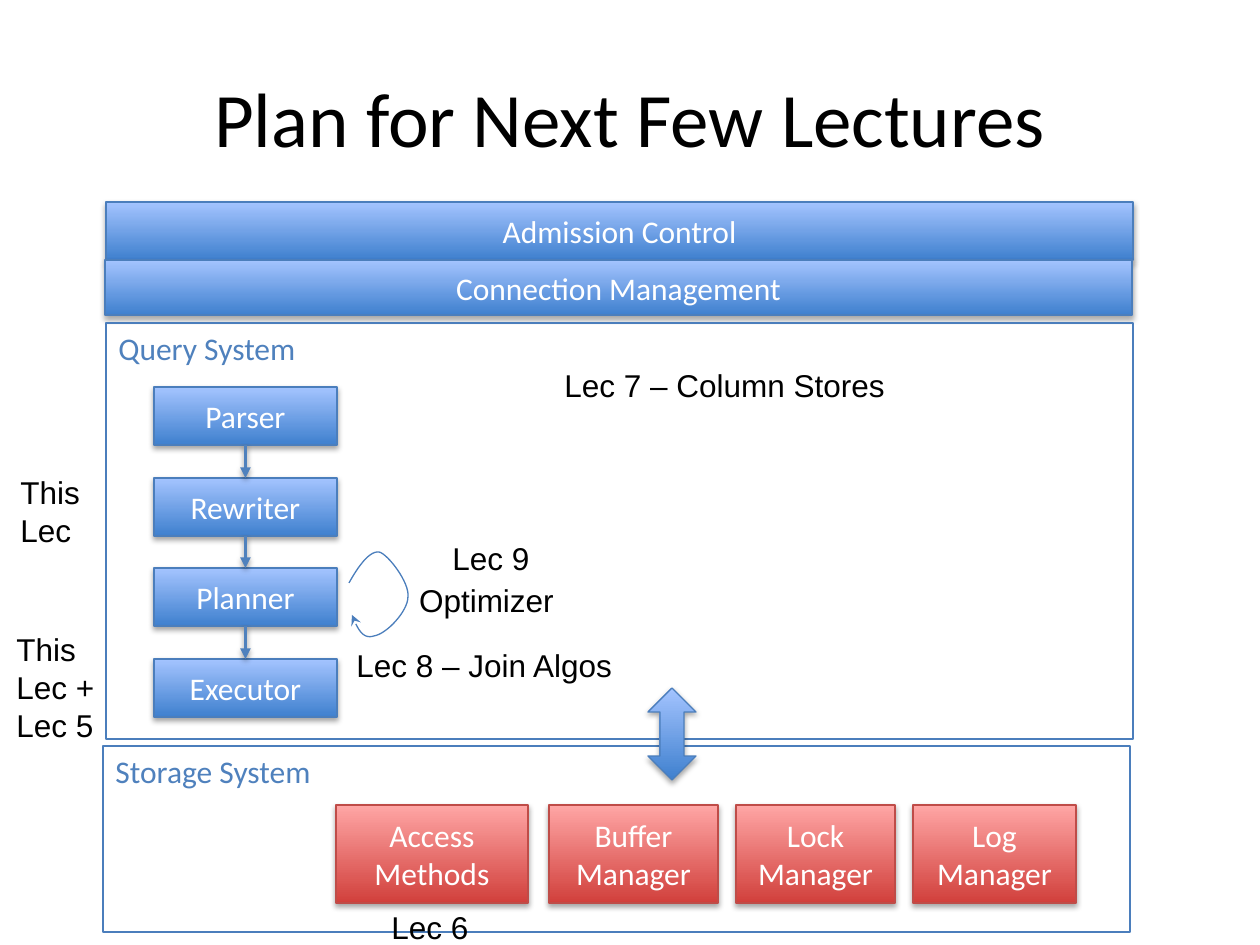
import itertools
from typing import NamedTuple

import pptx
import pptx.dml.color
import pptx.enum.shapes
import pptx.enum.text
import pptx.oxml.ns
import pptx.util
from lxml import etree

SCALE = 914400 / 126  # EMU in one px
COLORS = {
    "black": "000000", "white": "FFFFFF", "label": "4F81BD",
    "blue_edge": "4B7EBC", "blue_low": "3F80CE", "blue_top": "A4C4FF",
    "red_edge": "BF4C48", "red_low": "D1403C", "red_top": "FFA6A5",
}
SHAPE = pptx.enum.shapes.MSO_SHAPE
ALIGN = pptx.enum.text.PP_ALIGN
ANCHOR = pptx.enum.text.MSO_ANCHOR
qn = pptx.oxml.ns.qn


class Box(NamedTuple):
    text: str
    left: int
    top: int
    width: int
    height: int
    hue: str = "blue"
    kind: SHAPE = SHAPE.RECTANGLE


class Note(NamedTuple):
    text: str
    left: int
    top: int
    width: int
    height: int = 50
    wrap: bool = True
    align: ALIGN = ALIGN.LEFT


def px(n: float) -> pptx.util.Emu:
    return pptx.util.Emu(round(n * SCALE))


def rgb(name: str) -> pptx.dml.color.RGBColor:
    return pptx.dml.color.RGBColor.from_string(COLORS[name])


def style(par, face: str, color: str, align: ALIGN, size: int = 18) -> None:
    par.alignment = align
    par.font.name = face
    par.font.size = pptx.util.Pt(size)
    par.font.color.rgb = rgb(color)


def stroke(shape, color: str, width: float = 0.75, tip: str = "") -> None:
    shape.line.color.rgb = rgb(color)
    shape.line.width = pptx.util.Pt(width)
    if tip:
        line = shape.element.spPr.find(qn("a:ln"))
        etree.SubElement(line, qn("a:tailEnd"), type=tip)


def shade(shape, alpha: int = 0, dist: int = 0) -> None:
    """Set the effects, with a soft shadow below if alpha is given; call after stroke."""
    effects = etree.SubElement(shape.element.spPr, qn("a:effectLst"))
    if alpha:
        outer = etree.SubElement(effects, qn("a:outerShdw"), blurRad="40000",
                                 dist=str(dist), dir="5400000", rotWithShape="0")
        color = etree.SubElement(outer, qn("a:srgbClr"), val=COLORS["black"])
        etree.SubElement(color, qn("a:alpha"), val=str(alpha * 1000))


def add_box(slide, box: Box) -> None:
    shape = slide.shapes.add_shape(box.kind, *map(px, box[1:5]))
    shape.fill.gradient()
    shape.fill.gradient_angle = 90
    for stop, end in zip(shape.fill.gradient_stops, ("low", "top")):
        stop.color.rgb = rgb(f"{box.hue}_{end}")
    stroke(shape, f"{box.hue}_edge")
    shade(shape, 35, 23000)
    if box.text:
        shape.text_frame.text = box.text
        shape.text_frame.vertical_anchor = ANCHOR.MIDDLE
        style(shape.text_frame.paragraphs[0], "Calibri", "white", ALIGN.CENTER)


def add_frame(slide, box: Box) -> None:
    shape = slide.shapes.add_shape(box.kind, *map(px, box[1:5]))
    shape.fill.background()
    stroke(shape, "blue_edge")
    shade(shape)
    shape.text_frame.text = box.text
    shape.text_frame.vertical_anchor = ANCHOR.TOP
    style(shape.text_frame.paragraphs[0], "Calibri", "label", ALIGN.LEFT)


def add_note(slide, note: Note) -> None:
    frame = slide.shapes.add_textbox(*map(px, note[1:5])).text_frame
    frame.text = note.text
    frame.word_wrap = note.wrap
    frame.auto_size = pptx.enum.text.MSO_AUTO_SIZE.SHAPE_TO_FIT_TEXT
    style(frame.paragraphs[0], "Arial", "black", note.align)


def add_link(slide, upper: Box, lower: Box) -> None:
    mid = upper.left + upper.width / 2
    link = slide.shapes.add_connector(
        pptx.enum.shapes.MSO_CONNECTOR.STRAIGHT,
        px(mid), px(upper.top + upper.height), px(mid), px(lower.top))
    stroke(link, "label", 2, "triangle")
    shade(link, 38, 20000)


def bezier(knots: list, steps: int = 16) -> list:
    """Sample a chain of cubic curves; each third knot lies on the curve."""
    points = [knots[0]]
    for i in range(0, len(knots) - 1, 3):
        for t in (k / steps for k in range(1, steps + 1)):
            rates = ((1 - t) ** 3, 3 * t * (1 - t) ** 2, 3 * t * t * (1 - t), t ** 3)
            points.append(tuple(sum(r * p[axis] for r, p in zip(rates, knots[i:i + 4]))
                                for axis in (0, 1)))
    return points


def add_loop(slide, knots: list) -> None:
    points = [(px(x), px(y)) for x, y in bezier(knots)]
    pen = slide.shapes.build_freeform(*points[0], scale=1.0)
    pen.add_line_segments(points[1:], close=False)
    loop = pen.convert_to_shape()
    loop.fill.background()
    stroke(loop, "blue_edge", tip="stealth")
    shade(loop)


BARS = [Box("Admission Control", 106, 202, 1027, 58),
        Box("Connection Management", 105, 260, 1027, 55)]
FRAMES = [Box("Query System", 106, 323, 1027, 416),
          Box("Storage System", 103, 746, 1027, 186)]
STEPS = [Box(name, 154, 387 + round(90.7 * i), 183, 58)
         for i, name in enumerate(("Parser", "Rewriter", "Planner", "Executor"))]
STORES = [Box(name, left, 805, width, 98, "red") for name, left, width in (
    ("Access Methods", 336, 192), ("Buffer Manager", 549, 169),
    ("Lock Manager", 736, 159), ("Log Manager", 913, 163))]
SWAP = Box("", 648, 688, 48, 92, kind=SHAPE.UP_DOWN_ARROW)
LOOP = [(349, 583), (358, 567), (369, 551), (379, 552), (388, 554), (410, 583),
        (408, 597), (408, 611), (387, 634), (374, 636), (362, 640), (357, 627),
        (352, 615)]
NOTES = [
    Note("Optimizer", 406, 575, 161, wrap=False, align=ALIGN.CENTER),
    Note("This Lec + Lec 5", 4, 624, 123, 127),
    Note("Lec 6", 379, 902, 123),
    Note("Lec 9", 440, 533, 123),
    Note("Lec 7 – Column Stores", 552, 360, 379),
    Note("Lec 8 – Join Algos", 344, 640, 284, wrap=False),
    Note("This Lec", 8, 467, 123, 89),
]


def main() -> None:
    deck = pptx.Presentation()
    deck.slide_width, deck.slide_height = px(1260), px(945)
    slide = deck.slides.add_slide(deck.slide_layouts[5])

    # Title
    title = slide.shapes.title
    title.left, title.top, title.width, title.height = map(px, (63, 38, 1134, 158))
    title.text_frame.text = "Plan for Next Few Lectures"
    title.text_frame.vertical_anchor = ANCHOR.MIDDLE
    style(title.text_frame.paragraphs[0], "Calibri", "black", ALIGN.CENTER, 44)

    # Front bars and the two systems
    for bar in BARS:
        add_box(slide, bar)
    for frame in FRAMES:
        add_frame(slide, frame)

    # Query steps with their links and the planner loop
    for step in STEPS:
        add_box(slide, step)
    for upper, lower in itertools.pairwise(STEPS):
        add_link(slide, upper, lower)
    add_loop(slide, LOOP)

    # Storage parts and the arrow between the systems
    for part in STORES + [SWAP]:
        add_box(slide, part)

    # Lecture notes
    for note in NOTES:
        add_note(slide, note)

    deck.save("out.pptx")


if __name__ == "__main__":
    main()
